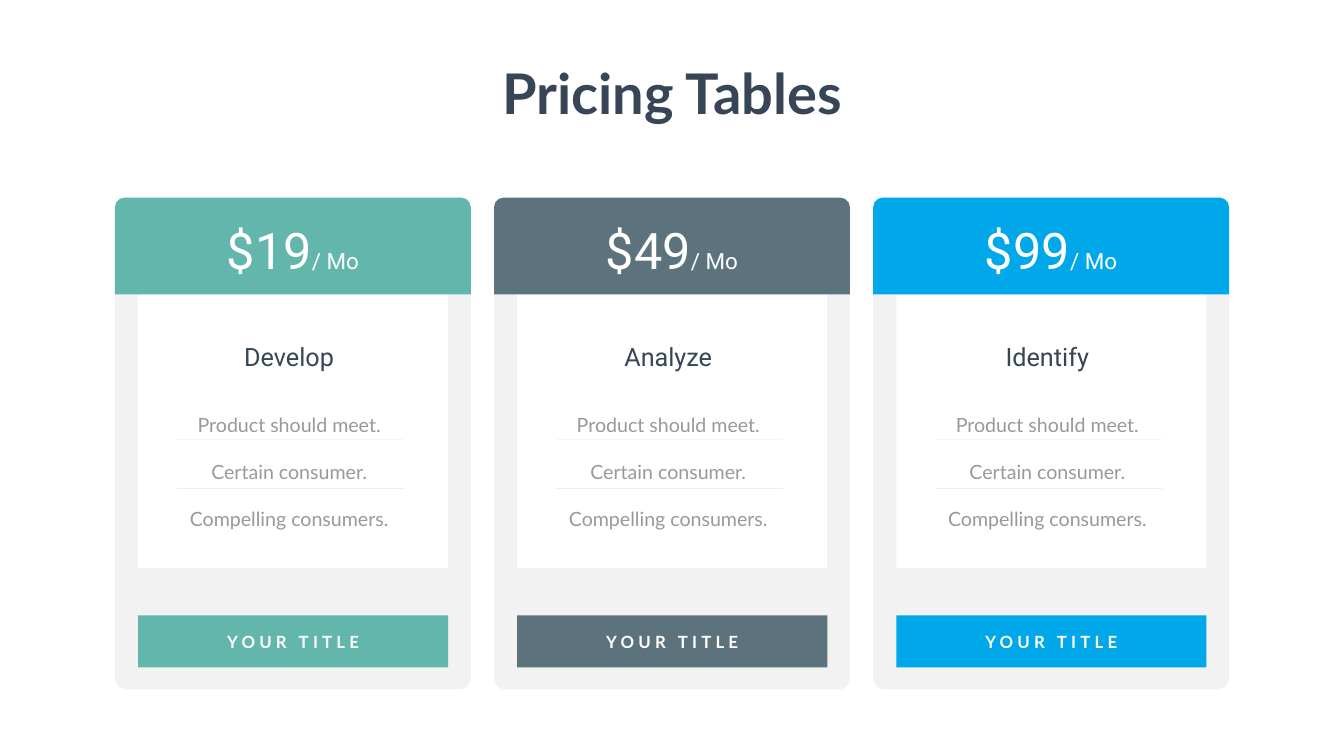
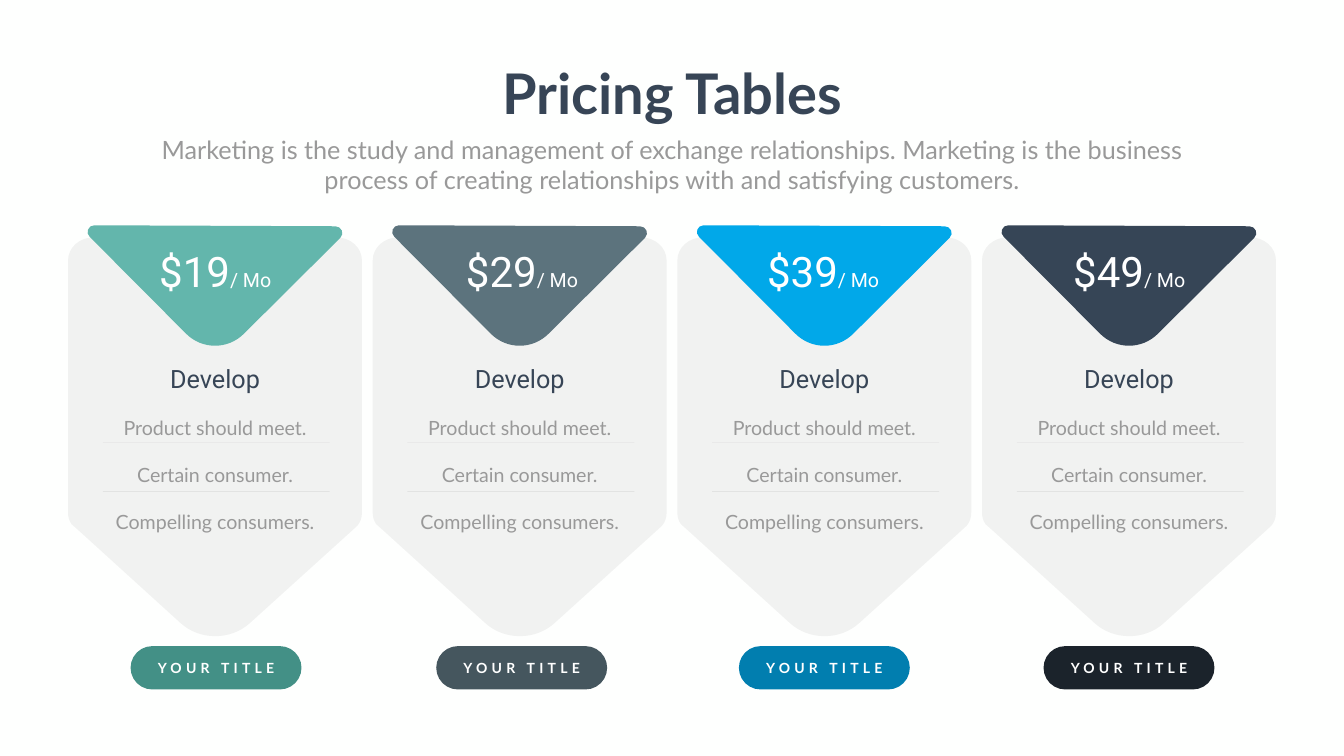
import pptx
import pptx.dml.color
import pptx.enum.shapes
import pptx.enum.text
import pptx.oxml
import pptx.oxml.ns
import pptx.util
from pptx.util import Inches

SHAPES = pptx.enum.shapes.MSO_SHAPE
DARK, GREY, MUTED, WHITE = "374556", "808080", "999999", "FFFFFF"
TEAL, SLATE, BLUE, NAVY = "63B6AC", "5C737D", "01A8E9", "364556"
DEEP_NAVY = "1B232B"

HEADING = {"name": "Lato", "size": 80, "bold": True, "color": DARK}
INTRO = {"name": "Lato", "size": 36, "bold": False, "color": MUTED}
PLAN_NAME = {"name": "Roboto", "size": 36, "color": DARK}
FEATURE = {"name": "Lato", "size": 28, "color": MUTED}
PRICE = {"name": "Roboto", "color": WHITE}
BUTTON = {"name": "Lato", "bold": True, "color": WHITE}

FEATURES = "Product should meet. Certain consumer. Compelling consumers."
INTRO_TEXT = (
    "Marketing is the study and management of exchange relationships. "
    "Marketing is the business process of creating relationships with "
    "and satisfying customers."
)
WIDE_PLANS = [
    ("$19", "Develop", 2.65, TEAL),
    ("$49", "Analyze", 1.99, SLATE),
    ("$99", "Identify", 1.9, BLUE),
]
ARROW_PLANS = [
    ("$19", TEAL, "439086", 1.45, 1.24, None),
    ("$29", SLATE, "45565E", 1.49, 1.26, None),
    ("$39", BLUE, "017EAF", 1.42, 1.22, None),
    ("$49", NAVY, DEEP_NAVY, 1.45, 1.22, DEEP_NAVY),
]

# Each step is a corner (x, y) or a cubic curve (x1, y1, x2, y2, x, y).
PANEL_OUTLINE = [
    (5.32, 0), (0.51, 0), (0.23, 0, 0, 0.2, 0, 0.46),
    (0, 5.46), (0, 5.54, 0.02, 5.62, 0.07, 5.69), (0.25, 5.85),
    (2.23, 7.65), (2.61, 8, 3.23, 8, 3.61, 7.65),
    (5.62, 5.83), (5.74, 5.72), (5.8, 5.65, 5.83, 5.56, 5.83, 5.46),
    (5.83, 0.46), (5.83, 0.2, 5.6, 0, 5.32, 0),
]
BADGE_OUTLINE = [
    (5.06, 0.25), (3.15, 2.15), (2.83, 2.47, 2.32, 2.47, 2, 2.15),
    (0.09, 0.23), (0, 0.15, 0.06, 0, 0.18, 0),
    (4.96, 0.02), (5.08, 0.02, 5.15, 0.16, 5.06, 0.25),
]


def rgb(color):
    """Turn a hex string into a colour."""
    return pptx.dml.color.RGBColor.from_string(color)


def paint(fill, color, opacity=100):
    """Give a fill a solid colour with an opacity in percent."""
    fill.solid()
    fill.fore_color.rgb = rgb(color)
    if opacity < 100:
        solid = fill._xPr.find(pptx.oxml.ns.qn("a:solidFill"))
        alpha = pptx.oxml.parse_xml(
            f'<a:alpha {pptx.oxml.ns.nsdecls("a")} val="{opacity * 1000}"/>')
        solid[0].append(alpha)


def finish(shape, color, opacity=100):
    """Fill a shape and take away its line and shadow."""
    shape.shadow.inherit = False
    paint(shape.fill, color, opacity)
    shape.line.fill.background()


def block(slide, kind, box, color, opacity=100, corner=None):
    """Add a preset shape, with its first adjustment if given."""
    shape = slide.shapes.add_shape(kind, *map(Inches, box))
    if corner is not None:
        shape.adjustments[0] = corner
    finish(shape, color, opacity)


def bend(shape, steps):
    """Join the three lines of each curved step into one cubic curve."""
    lines = iter(list(shape._element.iter(pptx.oxml.ns.qn("a:lnTo"))))
    for step in steps[1:]:
        segment = next(lines)
        if len(step) == 6:
            segment.tag = pptx.oxml.ns.qn("a:cubicBezTo")
            for extra in (next(lines), next(lines)):
                segment.append(extra[0])
                extra.getparent().remove(extra)


def outline(slide, left, top, steps, color, opacity=100):
    """Draw a closed outline from its left and top."""
    points = [(Inches(step[i]), Inches(step[i + 1]))
              for step in steps for i in range(0, len(step), 2)]
    builder = slide.shapes.build_freeform(*points[0])
    builder.add_line_segments(points[1:], close=True)
    shape = builder.convert_to_shape(Inches(left), Inches(top))
    bend(shape, steps)
    finish(shape, color, opacity)


def write(frame, *runs, wrap=True, spacing=None, line_spacing=1.0):
    """Write one centred paragraph of (text, format) runs."""
    settings = {
        "word_wrap": wrap,
        "auto_size": pptx.enum.text.MSO_AUTO_SIZE.NONE,
        "vertical_anchor": pptx.enum.text.MSO_ANCHOR.TOP,
    }
    for key, value in settings.items():
        setattr(frame, key, value)
    paragraph = frame.paragraphs[0]
    layout = {
        "alignment": pptx.enum.text.PP_ALIGN.CENTER,
        "line_spacing": line_spacing,
        "space_before": pptx.util.Pt(0),
    }
    for key, value in layout.items():
        setattr(paragraph, key, value)
    for text, style in runs:
        run = paragraph.add_run()
        run.text = text
        for key, value in style.items():
            if key == "color":
                run.font.color.rgb = rgb(value)
            else:
                setattr(run.font, key, pptx.util.Pt(value) if key == "size" else value)
        if spacing:
            run.font._element.set("spc", str(spacing * 100))


def text_box(slide, box, *runs, **options):
    """Add a text box and return it."""
    holder = slide.shapes.add_textbox(*map(Inches, box))
    write(holder.text_frame, *runs, **options)
    return holder


def fill_placeholder(holder, box, text, style, **options):
    """Move a placeholder to a box and write in it."""
    for key, value in zip(("left", "top", "width", "height"), box):
        setattr(holder, key, Inches(value))
    write(holder.text_frame, (text, style), **options)


def title(slide):
    """Write the title that the slides share."""
    fill_placeholder(slide.shapes.title, (9.72, 1.12, 7.23, 1.45),
                     "Pricing Tables", HEADING, wrap=False)


def price(slide, box, amount, amount_size, period_size):
    """Write an amount per month."""
    text_box(slide, box, (amount, {**PRICE, "size": amount_size}),
             ("/ Mo", {**PRICE, "size": period_size}))


def button(slide, kind, box, color, size, label_size, corner, label_fill=None):
    """Add a button with its spaced label in the middle."""
    block(slide, kind, box, color, corner=corner)
    left, top, width, height = box
    label_width, label_height = label_size
    label_box = (left + (width - label_width) / 2, top + (height - label_height) / 2,
                 label_width, label_height)
    label = text_box(slide, label_box, ("YOUR TITLE", {**BUTTON, "size": size}),
                     wrap=False, spacing=6)
    if label_fill:
        paint(label.fill, label_fill)


def rule(slide, left, right, y):
    """Draw a faint horizontal line."""
    line = slide.shapes.add_connector(
        pptx.enum.shapes.MSO_CONNECTOR.STRAIGHT, *map(Inches, (left, y, right, y)))
    line.line.width = pptx.util.Pt(0.5)
    paint(line.line.fill, GREY, 20)
    line._element.spPr.append(
        pptx.oxml.parse_xml(f'<a:effectLst {pptx.oxml.ns.nsdecls("a")}/>'))


def feature_list(slide, left, top, name, name_top, name_width):
    """Write a plan's name and its ruled features."""
    width = 4.55
    frame = text_box(slide, (left, top, width, 2.92), (FEATURES, FEATURE),
                     line_spacing=2.0).text_frame
    margins = {"margin_left": 0.24, "margin_right": 0.24,
               "margin_top": 0.12, "margin_bottom": 0.12}
    for key, value in margins.items():
        setattr(frame, key, Inches(value))
    text_box(slide, (left + (width - name_width) / 2, name_top, name_width, 0.73),
             (name, PLAN_NAME), wrap=False)
    for offset in (1.12, 2.09):
        rule(slide, left + 0.05, left + width, top + offset)


def wide_card(slide, left, top, amount, name, name_width, color):
    """Draw a card with a coloured header and a white sheet."""
    width, header, inset, sheet_width = 7.06, 1.92, 0.46, 6.15
    block(slide, SHAPES.ROUNDED_RECTANGLE, (left, top, width, 9.76), GREY, 10, 0.033)
    block(slide, SHAPES.RECTANGLE, (left + inset, top + header, sheet_width, 5.43), WHITE)
    block(slide, SHAPES.ROUND_2_SAME_RECTANGLE, (left, top, width, header), color, corner=0.1)
    price(slide, (left + 1.33, top + 0.37, 4.4, 1.31), amount, 72, 32)
    feature_list(slide, left + 1.18, top + 3.68, name, top + 2.81, name_width)
    button(slide, SHAPES.ROUNDED_RECTANGLE, (left + inset, top + 8.29, sheet_width, 1.03),
           color, 24, (2.95, 0.5), 0)


def arrow_card(slide, left, top, amount, color, button_color, price_left, button_left,
               label_fill):
    """Draw a pointed card with a triangular badge and a pill."""
    outline(slide, left, top, PANEL_OUTLINE, GREY, 10)
    outline(slide, left + 0.34, top - 0.24, BADGE_OUTLINE, color)
    price(slide, (left + price_left, top + 0.12, 2.94, 1.11), amount, 60, 28)
    feature_list(slide, left + 0.64, top + 2.95, "Develop", top + 2.45, 2.65)
    button(slide, SHAPES.ROUNDED_RECTANGLE, (left + button_left, top + 8.11, 3.39, 0.86),
           button_color, 20, (2.64, 0.44), 0.5, label_fill)


def wide_slide(deck):
    """Build the slide with three wide cards."""
    slide = deck.slides.add_slide(deck.slide_layouts[5])
    for i, plan in enumerate(WIDE_PLANS):
        wide_card(slide, 2.28 + 7.52 * i, 3.92, *plan)
    title(slide)


def arrow_slide(deck):
    """Build the slide with four pointed cards."""
    slide = deck.slides.add_slide(deck.slide_layouts[0])
    first, last = 1.35, 19.48
    pitch = (last - first) / (len(ARROW_PLANS) - 1)
    for i, plan in enumerate(ARROW_PLANS):
        arrow_card(slide, first + pitch * i, 4.71, *plan)
    title(slide)
    fill_placeholder(slide.placeholders[1], (2.92, 2.61, 20.82, 1.31), INTRO_TEXT, INTRO)


def main():
    """Build and save the slides."""
    deck = pptx.Presentation()
    deck.slide_width, deck.slide_height = Inches(26.66), Inches(15)
    paint(deck.slide_master.background.fill, "FEFFFE")
    wide_slide(deck)
    arrow_slide(deck)
    deck.save("out.pptx")


if __name__ == "__main__":
    main()
